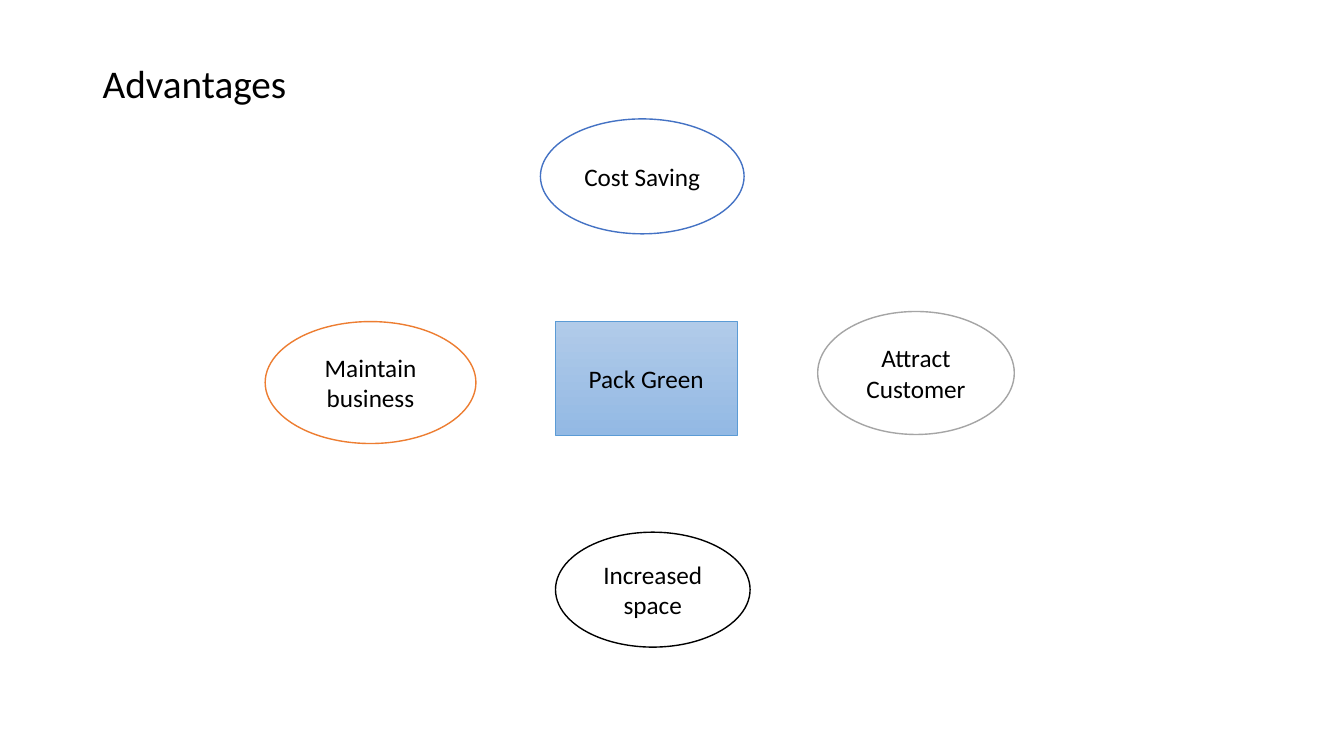
from pptx import Presentation, util as u
from pptx.dml.color import RGBColor
from pptx.enum import shapes, text

INK, WHITE = "000000", "FFFFFF"


def color(code):
    return RGBColor.from_string(code)


def write(shape, words, size, align):
    frame = shape.text_frame
    frame.word_wrap = True
    frame.vertical_anchor = text.MSO_ANCHOR.MIDDLE
    para = frame.paragraphs[0]
    para.text = words
    para.alignment = align
    para.font.name = "Calibri"
    para.font.size = u.Pt(size)
    para.font.color.rgb = color(INK)
    return para


def node(slide, kind, box, words, line, width):
    shape = slide.shapes.add_shape(kind, *map(u.Inches, box))
    shape.shadow.inherit = False
    shape.fill.solid()
    shape.fill.fore_color.rgb = color(WHITE)
    shape.line.color.rgb = color(line)
    shape.line.width = u.Pt(width)
    write(shape, words, 18, text.PP_ALIGN.CENTER)
    return shape


def title(slide, box, words):
    area = slide.shapes.add_textbox(*map(u.Inches, box))
    para = write(area, words, 28, text.PP_ALIGN.LEFT)
    para.line_spacing = 0.9


def wheel(slide, box):
    left, top, wide, high = box

    # Benefits: offset within the box, size, label, outline
    ovals = [
        (2.73, 0, 2.02, 1.14, "Cost Saving", "4472C4"),
        (wide - 1.95, 1.91, 1.95, 1.22, "Attract Customer", "A5A5A5"),
        (0, 2.01, 2.09, 1.21, "Maintain business", "ED7D31"),
        (2.88, high - 1.14, 1.93, 1.14, "Increased space", INK),
    ]
    for x, y, w, h, words, line in ovals:
        node(slide, shapes.MSO_SHAPE.OVAL, (left + x, top + y, w, h),
             words, line, 1)

    # Hub with a vertical gradient
    hub = node(slide, shapes.MSO_SHAPE.RECTANGLE,
               (left + 2.88, top + 2.01, 1.8, 1.13),
               "Pack Green", "5B9BD5", 0.5)
    hub.fill.gradient()
    hub.fill.gradient_angle = 270
    for stop, code in zip(hub.fill.gradient_stops, ("B1CBE9", "93B9E4")):
        stop.color.rgb = color(code)


def main():
    deck = Presentation()
    deck.slide_width = u.Inches(13.33)
    deck.slide_height = u.Inches(7.5)
    slide = deck.slides.add_slide(deck.slide_layouts[6])
    title(slide, (0.92, 0.19, 11.5, 1.33), "Advantages")
    wheel(slide, (2.63, 1.18, 7.43, 5.24))
    deck.save("out.pptx")


if __name__ == "__main__":
    main()
